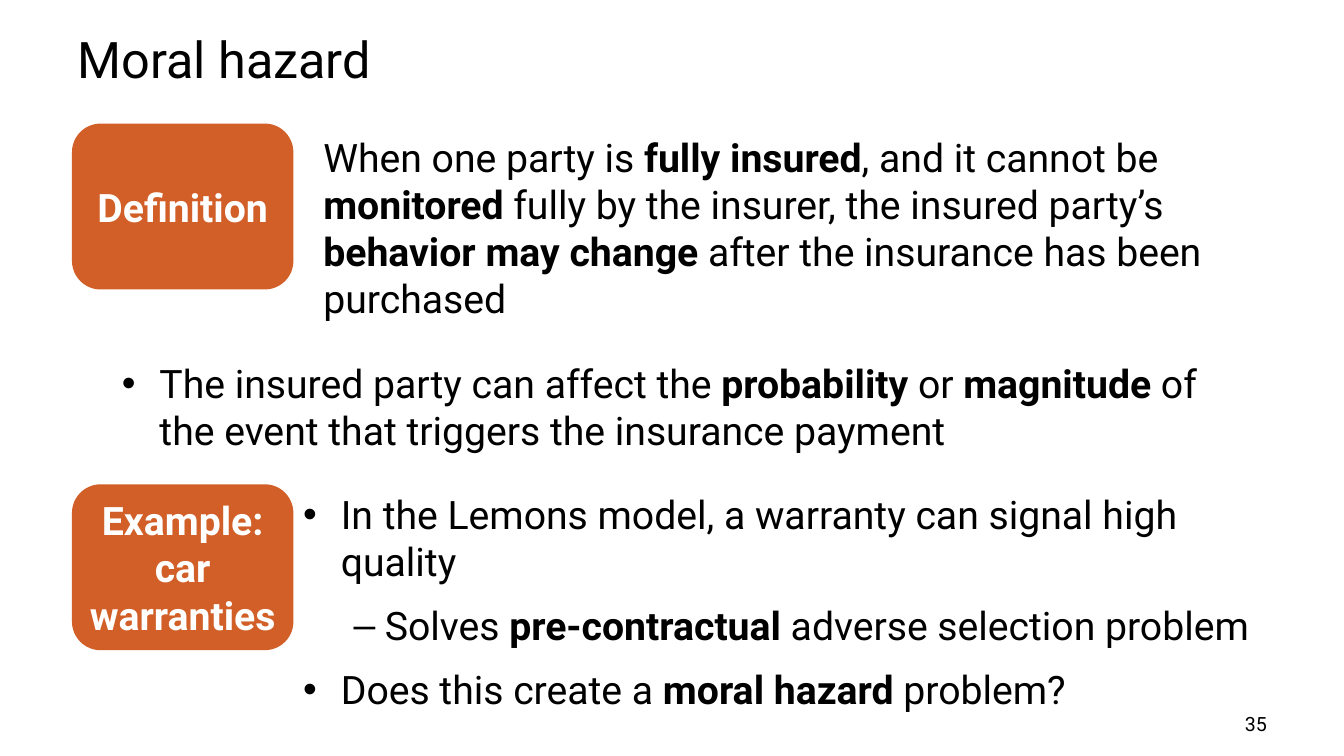
import pptx
import pptx.dml.color
import pptx.enum.shapes
import pptx.enum.text
import pptx.oxml
import pptx.util
from dataclasses import dataclass

Cm, Pt = pptx.util.Cm, pptx.util.Pt
Align, Anchor = pptx.enum.text.PP_ALIGN, pptx.enum.text.MSO_ANCHOR

TITLE = "Moral hazard"
PAGE_NUMBER = "35"
LABELS = [
    {"text": "Definition", "top": 3.15, "side_inset": 0.25},
    {"text": "Example: car warranties", "top": 12.24, "side_inset": 0},
]
PASSAGES = [
    {"box": (7.9, 3.23, 24, 5.05), "paragraphs": [
        ("plain", "When one party is **fully insured**, and it cannot be **monitored **fully by the insurer, "
                  "the insured party’s **behavior may change **after the insurance has been purchased")]},
    {"box": (2.82, 8.94, 29.08, 2.64), "paragraphs": [
        ("bullet", "The insured party can affect the **probability **or **magnitude **of the event "
                   "that triggers the insurance payment")]},
    {"box": (7.39, 12.24, 24.51, 4.7), "paragraphs": [
        ("bullet", "In the Lemons model, a warranty can signal high quality"),
        ("dash", "Solves **pre-contractual **adverse selection problem"),
        ("bullet", "Does this create a **moral hazard **problem?")]},
]
MARKERS = {"bullet": (0, "•", 0.95, -0.95), "dash": (1, "–", 2.06, -0.79)}


@dataclass(frozen=True)
class Theme:
    """Colours and type sizes of the slide."""
    font: str = "Roboto"
    ink: str = "000000"
    label_ink: str = "FFFFFF"
    accent: str = "D15F27"
    title: int = 36
    body: int = 28
    page: int = 14


THEME = Theme()


def rgb(value):
    """Turn a hex string into a colour."""
    return pptx.dml.color.RGBColor.from_string(value)


def style(paragraph, size, ink=THEME.ink, align=Align.LEFT):
    """Set the font and alignment of a paragraph."""
    paragraph.alignment = align
    paragraph.font.name = THEME.font
    paragraph.font.size = Pt(size)
    paragraph.font.color.rgb = rgb(ink)


def place(part, left, top, width, height):
    """Move and size a part, in centimetres."""
    part.left, part.top, part.width, part.height = map(Cm, (left, top, width, height))


def add_marker(paragraph, kind):
    """Give a paragraph its level, hanging indent and bullet sign."""
    paragraph.level, sign, margin, indent = MARKERS[kind]
    properties = paragraph._p.get_or_add_pPr()
    properties.set("marL", str(Cm(margin)))
    properties.set("indent", str(Cm(indent)))
    for tag, name, value in (("buFont", "typeface", "Arial"), ("buChar", "char", sign)):
        bullet = pptx.oxml.parse_xml(
            f'<a:{tag} xmlns:a="http://schemas.openxmlformats.org/drawingml/2006/main" {name}="{value}"/>')
        properties.append(bullet)


def add_passage(slide, passage):
    """Add a text box whose ** marks switch bold on and off."""
    frame = slide.shapes.add_textbox(*map(Cm, passage["box"])).text_frame
    frame.word_wrap = True
    for number, (kind, text) in enumerate(passage["paragraphs"]):
        paragraph = frame.add_paragraph() if number else frame.paragraphs[0]
        paragraph.space_after = Pt(12)
        if kind in MARKERS:
            add_marker(paragraph, kind)
        style(paragraph, THEME.body)
        for position, words in enumerate(text.split("**")):
            run = paragraph.add_run()
            run.text = words
            if position % 2:
                run.font.bold = True


def add_label(slide, label):
    """Add a rounded orange label."""
    box = slide.shapes.add_shape(pptx.enum.shapes.MSO_SHAPE.ROUNDED_RECTANGLE,
                                 *map(Cm, (1.85, label["top"], 5.51, 4.11)))
    box.shadow.inherit = False
    box.fill.solid()
    box.fill.fore_color.rgb = rgb(THEME.accent)
    box.line.color.rgb = rgb(THEME.accent)
    box.line.width = Pt(2)
    frame = box.text_frame
    frame.word_wrap = True
    frame.vertical_anchor = Anchor.MIDDLE
    frame.margin_left = frame.margin_right = Cm(label["side_inset"])
    frame.text = label["text"]
    style(frame.paragraphs[0], THEME.body, THEME.label_ink, Align.CENTER)
    frame.paragraphs[0].font.bold = True


def main():
    """Build the slide and save it."""
    deck = pptx.Presentation()
    deck.slide_width, deck.slide_height = Cm(33.87), Cm(19.05)
    slide = deck.slides.add_slide(deck.slide_layouts.get_by_name("Title Only"))

    title = slide.shapes.title
    place(title, 1.7, 0.58, 30.48, 1.8)
    title.text_frame.text = TITLE
    title.text_frame.vertical_anchor = Anchor.MIDDLE
    title.text_frame.auto_size = pptx.enum.text.MSO_AUTO_SIZE.NONE
    style(title.text_frame.paragraphs[0], THEME.title)

    page = slide.shapes.add_textbox(*map(Cm, (24.28, 17.81, 7.9, 0.86))).text_frame
    page.word_wrap = True
    page.text = PAGE_NUMBER
    style(page.paragraphs[0], THEME.page, align=Align.RIGHT)

    for label in LABELS:
        add_label(slide, label)
    for passage in PASSAGES:
        add_passage(slide, passage)
    deck.save("out.pptx")


if __name__ == "__main__":
    main()
